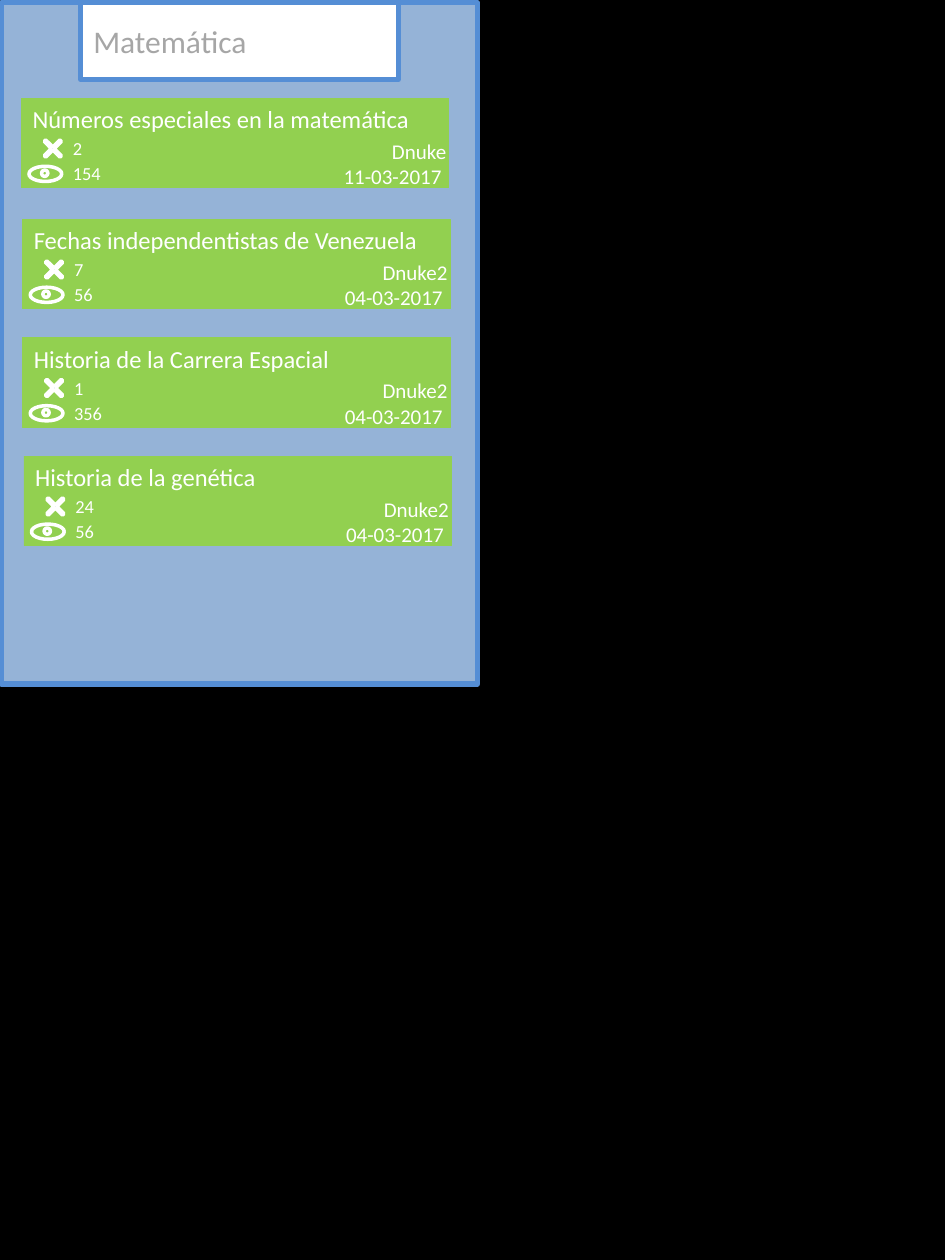
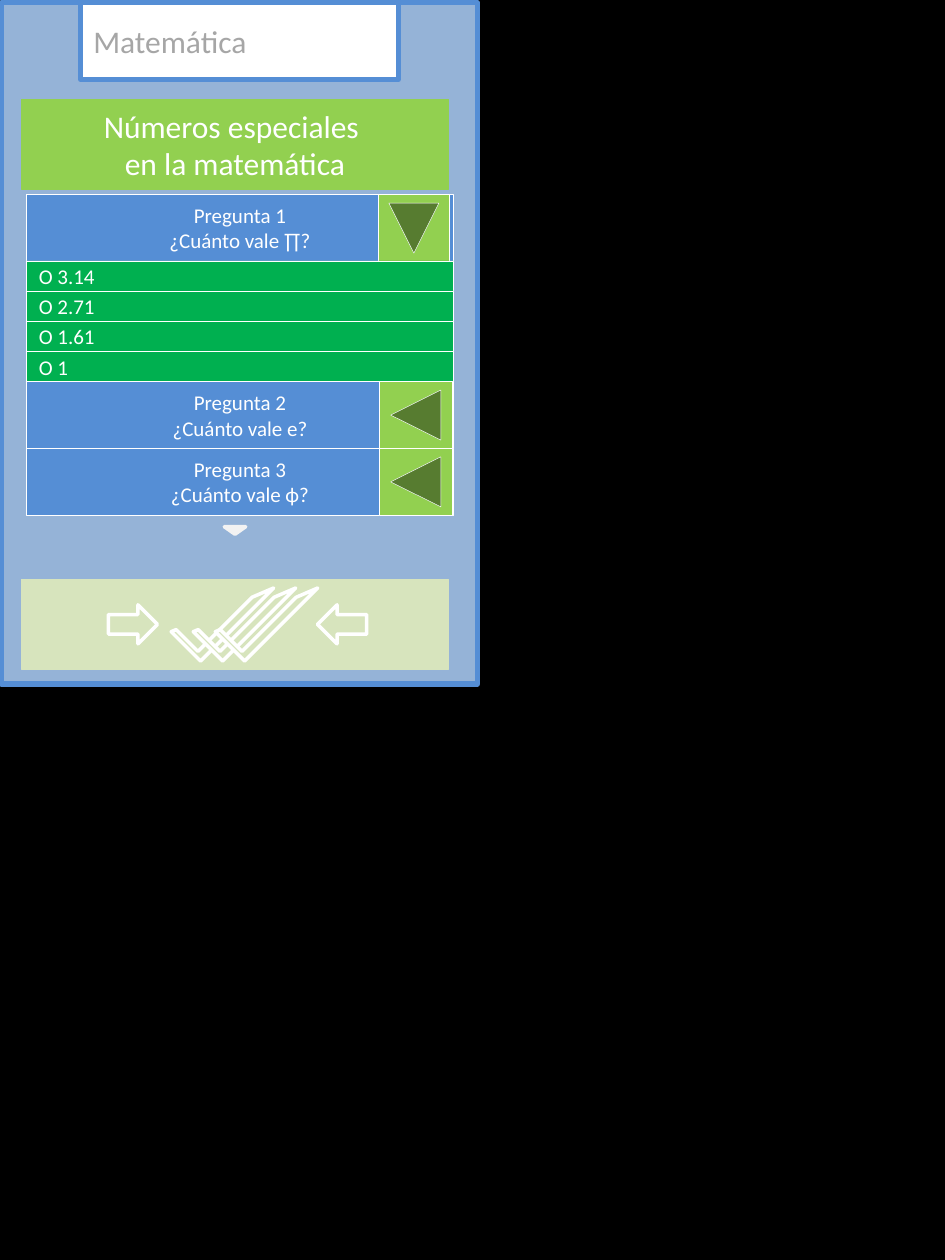
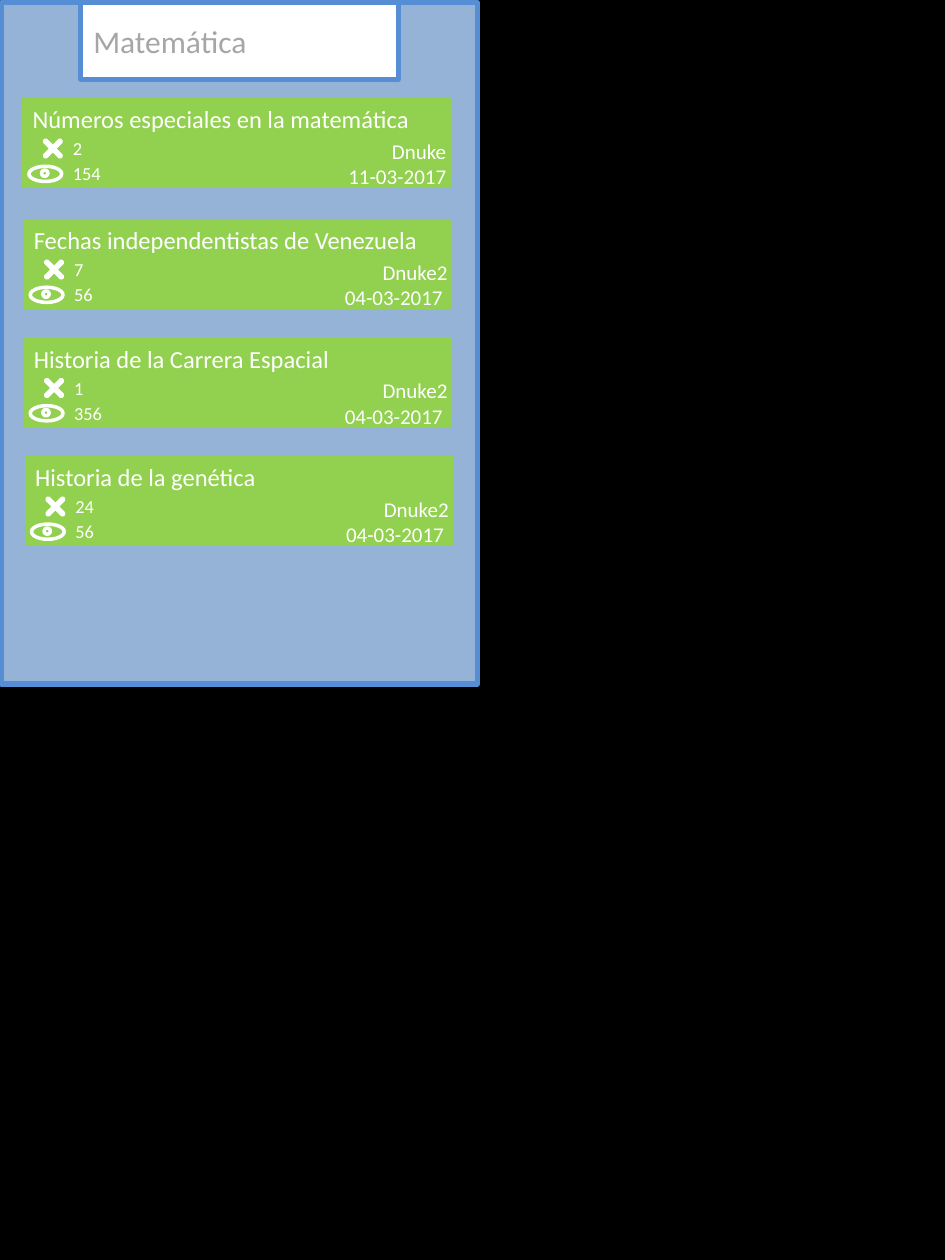
from dataclasses import dataclass

from pptx import Presentation
from pptx.dml.color import RGBColor
from pptx.enum import shapes, text
from pptx.util import Inches, Pt

KIND = shapes.MSO_SHAPE
ALIGN = text.PP_ALIGN


@dataclass(frozen=True)
class Theme:
    font: str = "Calibri"
    backdrop: str = "000000"
    screen: str = "95B3D7"
    blue: str = "558ED5"
    icon_blue: str = "4F81BD"
    lime: str = "92D050"
    green: str = "00B050"
    pale_green: str = "D7E4BD"
    white: str = "FFFFFF"
    near_white: str = "F2F2F2"
    grey: str = "A6A6A6"
    heading: float = 18
    card_title: float = 14
    body: float = 12
    count: float = 10.5
    frame_line: float = 3
    icon_line: float = 2
    thin_line: float = 0.25


THEME = Theme()
SUBJECT = "Matemática"

# Title, mistakes, views, author, date
CARDS = [
    ("Números especiales en la matemática", "2", "154", "Dnuke", "11-03-2017 "),
    ("Fechas independentistas de Venezuela", "7", "56", "Dnuke2", "04-03-2017 "),
    ("Historia de la Carrera Espacial", "1", "356", "Dnuke2", "04-03-2017 "),
    ("Historia de la genética", "24", "56", "Dnuke2", "04-03-2017 "),
]
CARD_CORNERS = [(0.17, 0.78), (0.18, 1.74), (0.18, 2.68), (0.19, 3.62)]
CARD_SIZE = (3.39, 0.71)

# Question lines and the answers shown when it is open
QUESTIONS = [
    (["Pregunta 1", "¿Cuánto vale ∏?"], ["O 3.14", "O 2.71", "O 1.61", "O 1"]),
    (["Pregunta 2", "¿Cuánto vale e?"], []),
    (["Pregunta 3", "¿Cuánto vale ϕ?"], []),
]


# Shared drawing helpers
def paint(shape, fill, line, width):
    shape.fill.solid()
    shape.fill.fore_color.rgb = RGBColor.from_string(fill)
    shape.line.color.rgb = RGBColor.from_string(line)
    shape.line.width = Pt(width)


def write(shape, lines, size, color=THEME.white, align=ALIGN.LEFT, **frame_format):
    frame = shape.text_frame
    for name, value in {"word_wrap": True, **frame_format}.items():
        setattr(frame, name, value)
    frame.text = "\n".join(lines)
    font_format = {"name": THEME.font, "size": Pt(size)}
    for paragraph in frame.paragraphs:
        paragraph.alignment = align
        for run in paragraph.runs:
            for name, value in font_format.items():
                setattr(run.font, name, value)
            run.font.color.rgb = RGBColor.from_string(color)


def add_shape(parent, kind, box, fill, line, width, rotation=0, adjustments=()):
    shape = parent.shapes.add_shape(kind, *map(Inches, box))
    shape.shadow.inherit = False
    shape.rotation = rotation
    for index, value in enumerate(adjustments):
        shape.adjustments[index] = value
    paint(shape, fill, line, width)
    return shape


def add_label(parent, box, lines, size, align=ALIGN.LEFT):
    label = parent.shapes.add_textbox(*map(Inches, box))
    write(label, lines, size, align=align,
          auto_size=text.MSO_AUTO_SIZE.SHAPE_TO_FIT_TEXT)


# Phone screen with the subject as slide title
def add_screen(presentation):
    slide = presentation.slides.add_slide(presentation.slide_layouts[5])
    screen = add_shape(slide, KIND.RECTANGLE, (0.01, 0.02, 3.78, 5.41),
                       THEME.screen, THEME.blue, THEME.frame_line)
    title = slide.shapes.title
    title.element.addprevious(screen.element)
    box = dict(zip(("left", "top", "width", "height"), (0.64, 0.02, 2.52, 0.61)))
    for name, value in box.items():
        setattr(title, name, Inches(value))
    paint(title, THEME.white, THEME.blue, THEME.frame_line)
    write(title, [SUBJECT], THEME.heading, THEME.grey,
          auto_size=text.MSO_AUTO_SIZE.NONE,
          vertical_anchor=text.MSO_ANCHOR.MIDDLE)
    return slide


# Eye icon: two lids and a pupil
def add_eye(parent, left, top):
    style = (THEME.lime, THEME.white, THEME.icon_line)
    for offset, rotation in ((0, 90), (0.06, 270)):
        add_shape(parent, KIND.MOON, (left, top + offset, 0.06, 0.26),
                  *style, rotation, [0])
    add_shape(parent, KIND.FLOWCHART_CONNECTOR, (left, top + 0.13, 0.05, 0.05), *style)


# Quiz card; its frame may sit slightly right of its icons
def add_card(slide, card, left, top, frame_shift, byline_width):
    title, mistakes, views, author, date = card
    group = slide.shapes.add_group_shape()
    frame_left = left + frame_shift
    width, height = CARD_SIZE
    add_shape(group, KIND.RECTANGLE, (frame_left, top, width, height),
              THEME.lime, THEME.lime, THEME.thin_line)
    add_label(group, (left - 0.01, top, width, 0.34), [title], THEME.card_title)
    byline_left = left + 3.47 - byline_width
    add_label(group, (byline_left, top + 0.27, byline_width, 0.5),
              [author, date], THEME.body, ALIGN.RIGHT)
    add_eye(group, left + 0.16, top + 0.44)
    add_shape(group, KIND.MATH_MULTIPLY, (left + 0.13, top + 0.28, 0.24, 0.24),
              THEME.icon_blue, THEME.white, THEME.icon_line, adjustments=[0.07])
    for count, offset in ((mistakes, 0.26), (views, 0.46)):
        add_label(group, (left + 0.31, top + offset, 0.49, 0.28), [count], THEME.count)


def build_card_list(presentation, frame_shift, first_byline_width):
    slide = add_screen(presentation)
    for index, (card, corner) in enumerate(zip(CARDS, CARD_CORNERS)):
        byline_width = 2.03 if index else first_byline_width
        add_card(slide, card, *corner, frame_shift, byline_width)


# Questions with fold buttons and open answers
def add_questions(slide, left, top):
    width, question_height, answer_height = 3.39, 0.53, 0.24
    for question, answers in QUESTIONS:
        row = add_shape(slide, KIND.RECTANGLE, (left, top, width, question_height),
                        THEME.blue, THEME.white, THEME.thin_line)
        write(row, question, THEME.body, align=ALIGN.CENTER)
        if answers:
            button_box, rotation = (left + 2.81, top - 0.01, 0.53, 0.56), 270
        else:
            button_box, rotation = (left + 2.8, top, 0.58, 0.53), 0
        add_shape(slide, KIND.ACTION_BUTTON_BACK_OR_PREVIOUS, button_box,
                  THEME.lime, THEME.white, THEME.thin_line, rotation)
        top += question_height
        for answer in answers:
            row = add_shape(slide, KIND.RECTANGLE, (left, top, width, answer_height),
                            THEME.green, THEME.white, THEME.thin_line)
            write(row, [answer], THEME.body)
            top += answer_height


# Footer bar: arrows pointing at three check marks
def add_check_bar(slide, left, top):
    add_shape(slide, KIND.RECTANGLE, (left, top, *CARD_SIZE),
              THEME.pale_green, THEME.pale_green, THEME.thin_line)
    style = (THEME.pale_green, THEME.white, THEME.icon_line)
    for offset, rotation in ((0.69, 0), (2.35, 180)):
        add_shape(slide, KIND.RIGHT_ARROW, (left + offset, top + 0.2, 0.39, 0.31),
                  *style, rotation)
    for index in range(3):
        check_left = left + 1.43 + index * 0.175
        add_shape(slide, KIND.HALF_FRAME, (check_left, top - 0.17, 0.33, 0.82),
                  *style, 225, [0.12, 0.21])


def build_quiz(presentation):
    slide = add_screen(presentation)
    heading = add_shape(slide, KIND.RECTANGLE, (0.17, 0.79, *CARD_SIZE),
                        THEME.lime, THEME.lime, THEME.thin_line)
    write(heading, ["Números especiales ", "en la matemática"], THEME.heading,
          align=ALIGN.CENTER)
    add_questions(slide, 0.21, 1.54)
    add_shape(slide, KIND.ISOSCELES_TRIANGLE, (1.78, 4.18, 0.17, 0.06),
              THEME.near_white, THEME.near_white, THEME.icon_line, 180)
    add_check_bar(slide, 0.17, 4.6)


def main():
    presentation = Presentation()
    presentation.slide_width = Inches(7.5)
    presentation.slide_height = Inches(10)
    backdrop = presentation.slide_master.background.fill
    backdrop.solid()
    backdrop.fore_color.rgb = RGBColor.from_string(THEME.backdrop)

    build_card_list(presentation, frame_shift=0, first_byline_width=1.02)
    build_quiz(presentation)
    build_card_list(presentation, frame_shift=0.01, first_byline_width=1)
    presentation.save("out.pptx")


if __name__ == "__main__":
    main()
